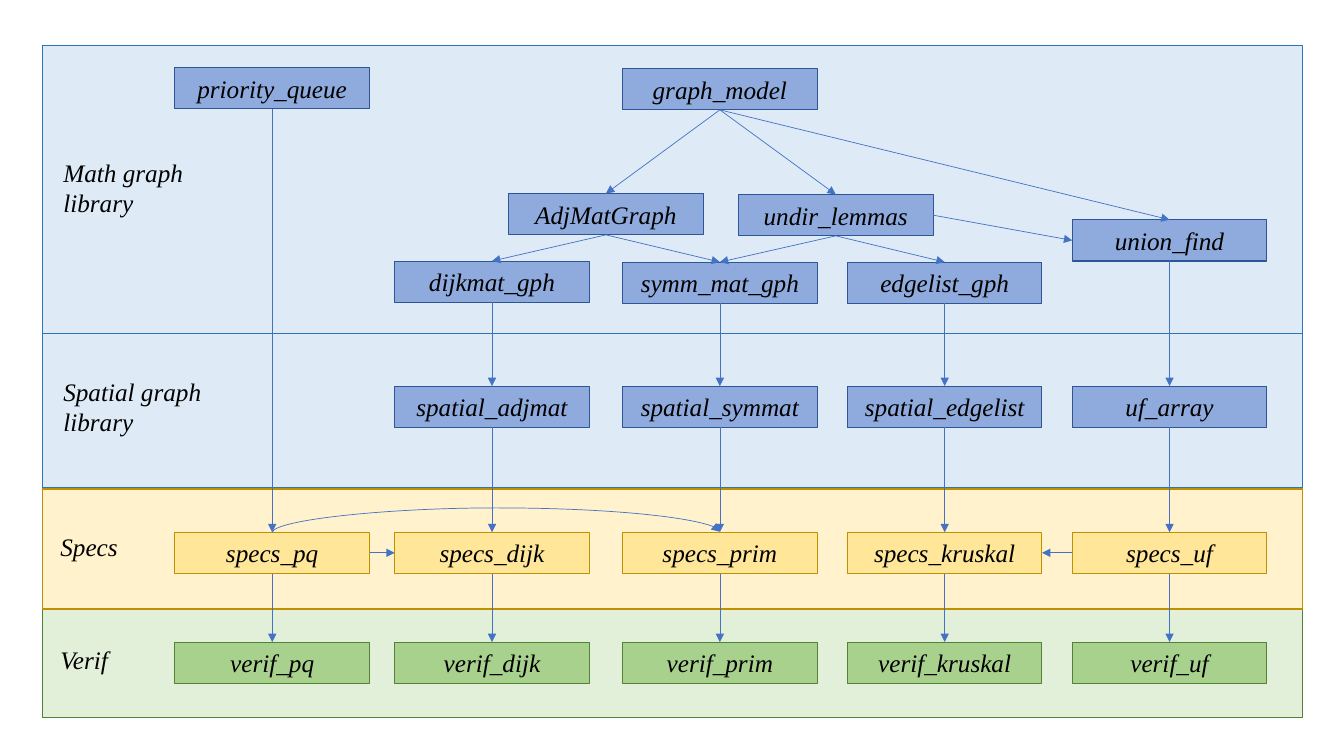
from lxml import etree
from pptx import Presentation
from pptx import util as u
from pptx.dml.color import RGBColor
from pptx.enum import shapes, text
from pptx.oxml import ns

hue = RGBColor.from_string
inch = u.Inches


def write(box, words, size=18, font="Times New Roman", color="000000",
          align=text.PP_ALIGN.LEFT, anchor=text.MSO_ANCHOR.TOP):
    frame = box.text_frame
    frame.word_wrap = True
    frame.auto_size = text.MSO_AUTO_SIZE.SHAPE_TO_FIT_TEXT
    frame.vertical_anchor = anchor
    para = frame.paragraphs[0]
    para.alignment = align
    span = para.add_run()
    span.text = words
    span.font.size = u.Pt(size)
    span.font.name = font
    span.font.italic = True
    span.font.color.rgb = hue(color)


def rectangle(left, top, width, height, fill, line, weight):
    box = page.shapes.add_shape(shapes.MSO_SHAPE.RECTANGLE, inch(left), inch(top), inch(width), inch(height))
    box.shadow.inherit = False
    box.fill.solid()
    box.fill.fore_color.rgb = hue(fill)
    box.line.color.rgb = hue(line)
    box.line.width = u.Pt(weight)
    return box


deck = Presentation()
deck.slide_width, deck.slide_height = inch(13.33), inch(7.5)
page = deck.slides.add_slide(deck.slide_layouts[6])

blue, gold, green = ("8FAADC", "2F5597"), ("FFE699", "BF9000"), ("A9D18E", "548235")
bands = [
    (3.3, 1.54, "DEEBF7", "2E75B6"),
    (6.04, 1.08, "E2F0D9", "548235"),
    (4.85, 1.19, "FFF2CC", "BF9000"),
    (0.45, 2.86, "DEEBF7", "2E75B6"),
]
for top, height, fill, line in bands:
    rectangle(0.42, top, 12.5, height, fill, line, 1)

labels = [
    ("Math graph library", 0.53, 1.51, 1.45, 0.71),
    ("Spatial graph library", 0.53, 3.68, 1.57, 0.71),
    ("Specs", 0.5, 5.22, 1.45, 0.4),
    ("Verif", 0.5, 6.34, 1.45, 0.4),
]
for words, *frame in labels:
    write(page.shapes.add_textbox(*map(inch, frame)), words)

pq, dijk, prim, kruskal, uf = columns = 2.7, 4.88, 7.14, 9.37, 11.6
names = ["pq", "dijk", "prim", "kruskal", "uf"]
box_width, box_height = 1.93, 0.41
nodes = [
    ("priority_queue", pq, 0.67, blue),
    ("graph_model", prim, 0.68, blue),
    ("AdjMatGraph", (dijk + prim) / 2, 1.92, blue),
    ("undir_lemmas", 8.29, 1.93, blue),
    ("union_find", uf, 2.18, blue),
    ("dijkmat_gph", dijk, 2.59, blue),
    ("symm_mat_gph", prim, 2.6, blue),
    ("edgelist_gph", kruskal, 2.6, blue),
    ("spatial_adjmat", dijk, 3.83, blue),
    ("spatial_symmat", prim, 3.83, blue),
    ("spatial_edgelist", kruskal, 3.83, blue),
    ("uf_array", uf, 3.83, blue),
]
for stage, top, colors in [("specs", 5.28, gold), ("verif", 6.37, green)]:
    nodes += [(f"{stage}_{name}", center, top, colors) for name, center in zip(names, columns)]

sites = {}
for name, center, top, colors in nodes:
    left = center - box_width / 2
    box = rectangle(left, top, box_width, box_height, *colors, 0.75)
    write(box, name, align=text.PP_ALIGN.CENTER, anchor=text.MSO_ANCHOR.MIDDLE)
    middle = top + box_height / 2
    sites[name] = {"top": (center, top), "bottom": (center, top + box_height),
                   "left": (left, middle), "right": (left + box_width, middle)}

chains = [
    "graph_model AdjMatGraph dijkmat_gph spatial_adjmat specs_dijk verif_dijk",
    "AdjMatGraph symm_mat_gph spatial_symmat specs_prim verif_prim",
    "graph_model undir_lemmas edgelist_gph spatial_edgelist specs_kruskal verif_kruskal",
    "undir_lemmas symm_mat_gph",
    "graph_model union_find uf_array specs_uf verif_uf",
    "priority_queue specs_pq verif_pq",
]
links = []
for chain in map(str.split, chains):
    links += [(start, "bottom", end, "top") for start, end in zip(chain, chain[1:])]
links += [
    ("undir_lemmas", "right", "union_find", "left"),
    ("specs_pq", "right", "specs_dijk", "left"),
    ("specs_uf", "left", "specs_kruskal", "right"),
]
straight, curve = shapes.MSO_CONNECTOR.STRAIGHT, shapes.MSO_CONNECTOR.CURVE
routes = [(straight, *sites[start][a], *sites[end][b]) for start, a, end, b in links]

middle, reach, rise, thickness = (pq + prim) / 2, (prim - pq) / 2, 0.25, 0.01
routes.append((curve, middle + thickness / 2, 5.28 + reach, middle - thickness / 2, 5.28 - reach))

for kind, *ends in routes:
    arrow = page.shapes.add_connector(kind, *map(inch, ends))
    arrow.line.color.rgb = hue("4472C4")
    arrow.line.width = u.Pt(0.5)
    etree.SubElement(arrow.line._get_or_add_ln(), ns.qn("a:tailEnd"), type="triangle")
    properties = arrow._element.spPr
    etree.SubElement(properties, ns.qn("a:effectLst"))
    if kind == curve:
        properties.find(ns.qn("a:xfrm")).set("rot", str(90 * 60000))
        guides = properties.find(ns.qn("a:prstGeom")).find(ns.qn("a:avLst"))
        bend = round(rise / thickness * 100000)
        etree.SubElement(guides, ns.qn("a:gd"), name="adj1", fmla=f"val {bend}")

deck.save("out.pptx")
